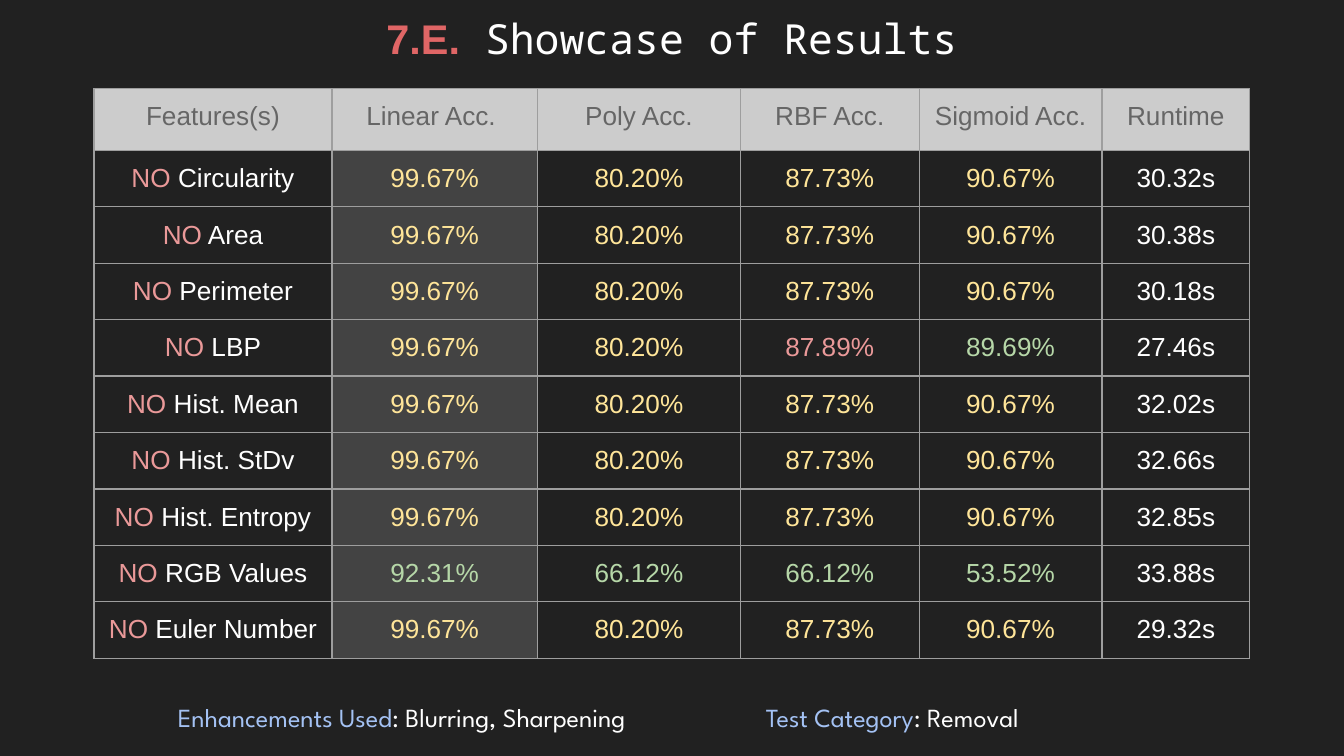
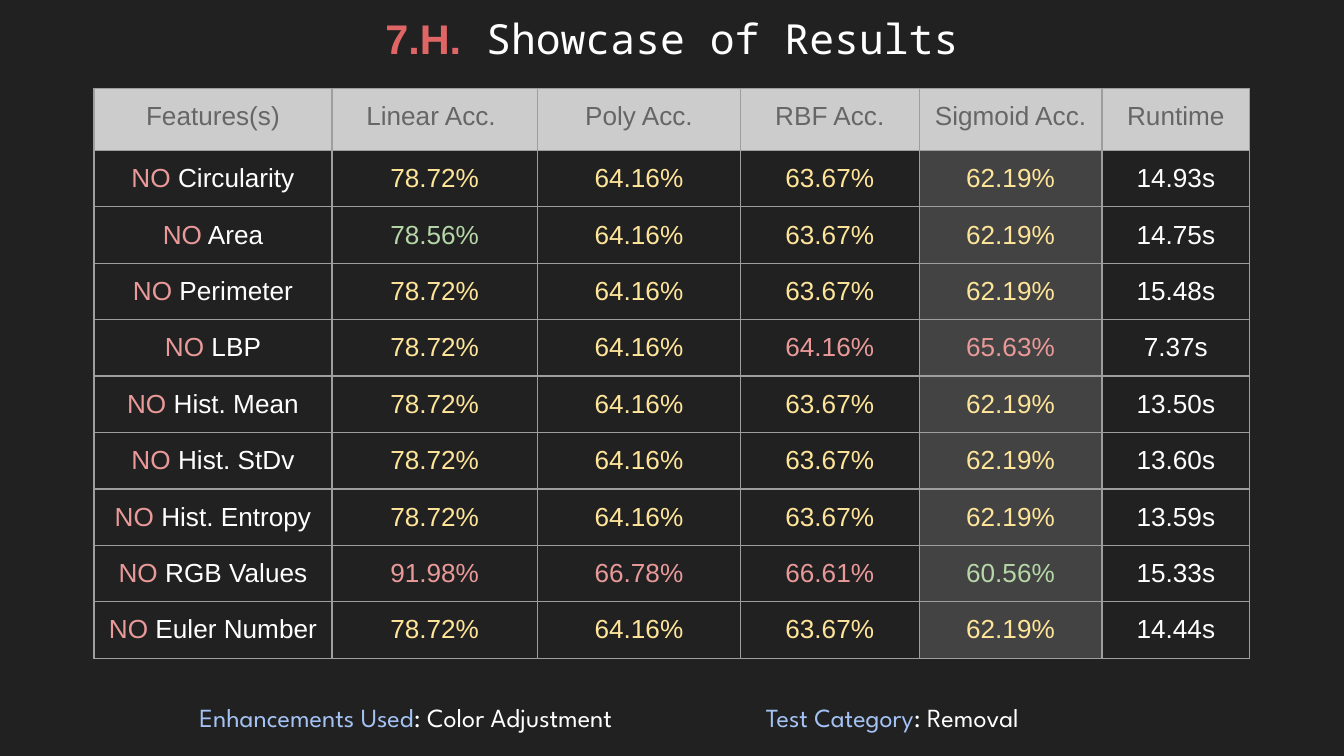
from lxml import etree
from pptx import Presentation
from pptx import util as u
from pptx.dml.color import RGBColor
from pptx.enum import text
from pptx.oxml import ns

BACKGROUND, WHITE, RED = "212121", "FFFFFF", "E06666"
HEADER_FILL, HEADER_TEXT = "CCCCCC", "666666"
HIGHLIGHT, GRID = "434343", "9E9E9E"
SAME, HIGHER, LOWER = "FFE599", "EA9999", "B6D7A8"
LABEL = "A4C2F4"
BODY_FONT, TITLE_FONT, NOTE_FONT = "Arial", "Noto Sans Mono", "League Spartan"

HEADERS = ["Features(s)", "Linear Acc. ", "Poly Acc.", "RBF Acc.",
           "Sigmoid Acc.", "Runtime"]
FEATURES = ["Circularity", "Area", "Perimeter", "LBP", "Hist. Mean",
            "Hist. StDv", "Hist. Entropy", "RGB Values", "Euler Number"]
COLUMN_WIDTHS = [1.77, 1.53, 1.51, 1.33, 1.36, 1.1]
HEADER_HEIGHT, ROW_HEIGHT = 0.46, 0.42

# Accuracies are the usual ones unless a feature has its own row in "changed".
RESULTS = [
    {
        "number": "7.E.",
        "usual": [99.67, 80.20, 87.73, 90.67],
        "changed": {"LBP": [99.67, 80.20, 87.89, 89.69],
                    "RGB Values": [92.31, 66.12, 66.12, 53.52]},
        "runtimes": [30.32, 30.38, 30.18, 27.46, 32.02, 32.66, 32.85, 33.88, 29.32],
        "highlighted": 1,
        "enhancements": "Blurring, Sharpening",
        "enhancements_box": (0.92, 5.12, 4.14, 0.44),
    },
    {
        "number": "7.H.",
        "usual": [78.72, 64.16, 63.67, 62.19],
        "changed": {"Area": [78.56, 64.16, 63.67, 62.19],
                    "LBP": [78.72, 64.16, 64.16, 65.63],
                    "RGB Values": [91.98, 66.78, 66.61, 60.56]},
        "runtimes": [14.93, 14.75, 15.48, 7.37, 13.50, 13.60, 13.59, 15.33, 14.44],
        "highlighted": 4,
        "enhancements": "Color Adjustment",
        "enhancements_box": (1.18, 5.12, 3.68, 0.44),
    },
]


def rgb(value):
    return RGBColor.from_string(value)


def inches(values):
    return [u.Inches(v) for v in values]


def set_margins(holder):
    """Set the insets of a text frame or of a table cell."""
    for side in ("left", "right", "top", "bottom"):
        setattr(holder, f"margin_{side}", u.Inches(0.1))


def write(tf, runs, **font):
    """Fill a text frame with one centred line of (text, colour, font changes)."""
    p = tf.paragraphs[0]
    p.alignment = text.PP_ALIGN.CENTER
    for words, color, changes in runs:
        r = p.add_run()
        r.text = words
        r.font.color.rgb = rgb(color)
        for name, value in {**font, **changes}.items():
            setattr(r.font, name, value)


def add_title(slide, number):
    sp = slide.shapes.title
    sp.left, sp.top, sp.width, sp.height = inches((1.43, 0.04, 7.14, 0.63))
    tf = sp.text_frame
    set_margins(tf)
    tf.vertical_anchor = text.MSO_ANCHOR.TOP
    tf.auto_size = text.MSO_AUTO_SIZE.NONE
    tf.paragraphs[0].line_spacing = 0.9
    write(tf,
          [(number, RED, {"name": BODY_FONT, "bold": True}),
           (" Showcase of Results", WHITE, {"name": TITLE_FONT, "bold": False})],
          size=u.Pt(22.2))


def add_note(slide, box, label, value):
    tf = slide.shapes.add_textbox(*inches(box)).text_frame
    set_margins(tf)
    tf.word_wrap = True
    tf.auto_size = text.MSO_AUTO_SIZE.SHAPE_TO_FIT_TEXT
    write(tf, [(label, LABEL, {}), (f": {value}", WHITE, {})],
          name=NOTE_FONT, size=u.Pt(14))


def add_borders(cell):
    tc_pr = cell._tc.get_or_add_tcPr()
    for i, side in enumerate(("lnL", "lnR", "lnT", "lnB")):
        ln = etree.Element(ns.qn(f"a:{side}"), w=str(u.Pt(0.75)))
        fill = etree.SubElement(ln, ns.qn("a:solidFill"))
        etree.SubElement(fill, ns.qn("a:srgbClr"), val=GRID)
        tc_pr.insert(i, ln)


def fill_cell(cell, runs, fill=None):
    if fill:
        cell.fill.solid()
        cell.fill.fore_color.rgb = rgb(fill)
    else:
        cell.fill.background()
    add_borders(cell)
    set_margins(cell)
    write(cell.text_frame, [(words, color, {}) for words, color in runs],
          name=BODY_FONT, size=u.Pt(14), bold=False)


def accuracy_color(value, usual):
    if value == usual:
        return SAME
    return HIGHER if value > usual else LOWER


def result_rows(result):
    """Yield the runs of each cell, one feature a row."""
    usual = result["usual"]
    for feature, runtime in zip(FEATURES, result["runtimes"]):
        accuracies = result["changed"].get(feature, usual)
        yield [[("NO", HIGHER), (f" {feature}", WHITE)],
               *[[(f"{a:.2f}%", accuracy_color(a, b))]
                 for a, b in zip(accuracies, usual)],
               [(f"{runtime:.2f}s", WHITE)]]


def add_results_table(slide, result):
    heights = [HEADER_HEIGHT] + [ROW_HEIGHT] * len(FEATURES)
    box = inches((0.7, 0.66, sum(COLUMN_WIDTHS), sum(heights)))
    table = slide.shapes.add_table(len(heights), len(HEADERS), *box).table
    table.first_row = table.horz_banding = False
    for column, width in zip(table.columns, COLUMN_WIDTHS):
        column.width = u.Inches(width)
    for row, height in zip(table.rows, heights):
        row.height = u.Inches(height)

    for c, header in enumerate(HEADERS):
        fill_cell(table.cell(0, c), [(header, HEADER_TEXT)], HEADER_FILL)
    for r, cells in enumerate(result_rows(result), 1):
        for c, runs in enumerate(cells):
            fill = HIGHLIGHT if c == result["highlighted"] else None
            fill_cell(table.cell(r, c), runs, fill)


def main():
    prs = Presentation()
    prs.slide_width, prs.slide_height = inches((10, 10 * 9 / 16))
    background = prs.slide_master.background.fill
    background.solid()
    background.fore_color.rgb = rgb(BACKGROUND)
    title_only = prs.slide_layouts.get_by_name("Title Only")

    for result in RESULTS:
        slide = prs.slides.add_slide(title_only)
        add_title(slide, result["number"])
        add_results_table(slide, result)
        add_note(slide, (5, 5.12, 3.28, 0.44), "Test Category", "Removal")
        add_note(slide, result["enhancements_box"], "Enhancements Used",
                 result["enhancements"])
    prs.save("out.pptx")


if __name__ == "__main__":
    main()
